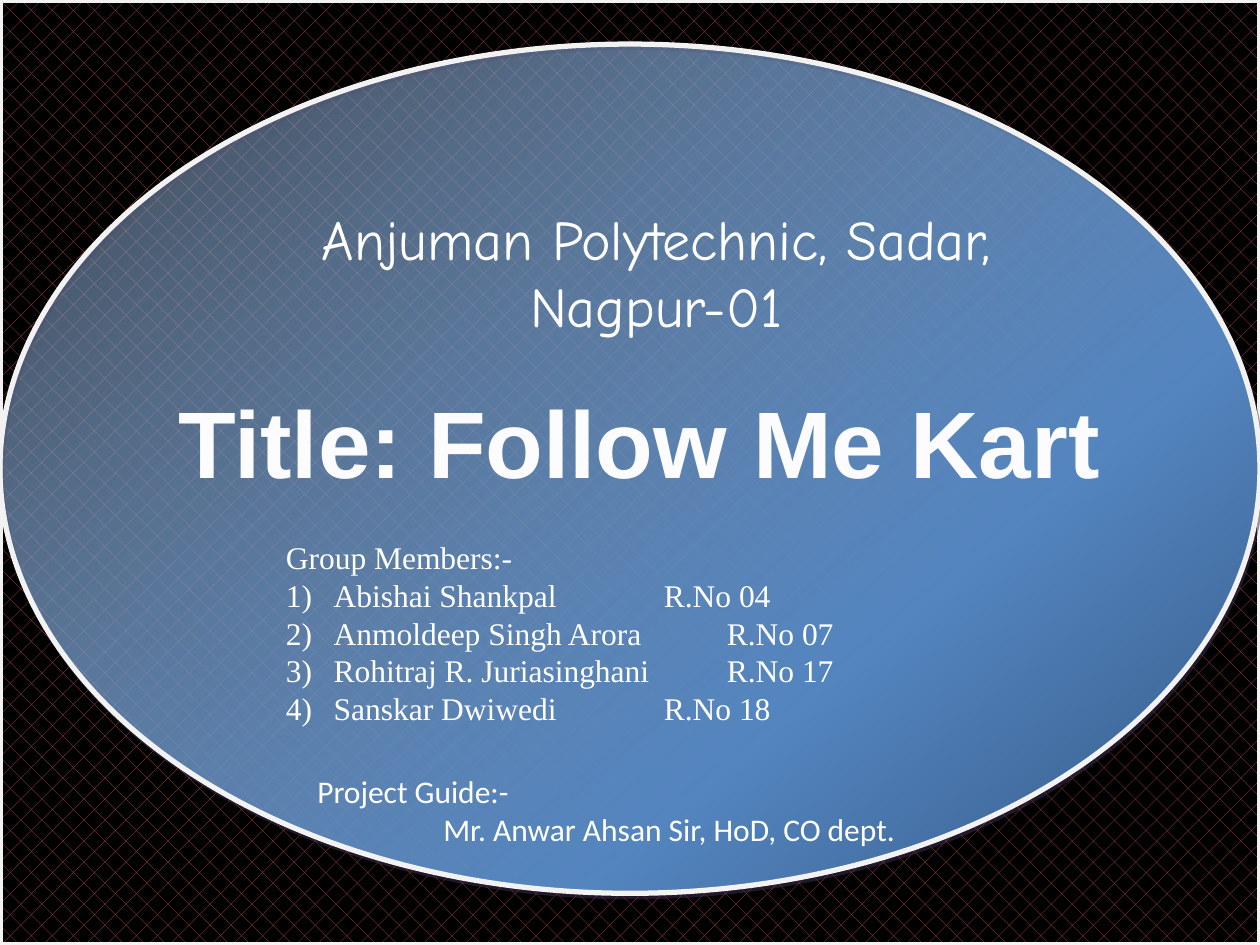
from lxml import etree
from pptx import Presentation
from pptx.dml.color import RGBColor
from pptx.enum.dml import MSO_PATTERN
from pptx.enum.shapes import MSO_SHAPE
from pptx.enum.text import MSO_ANCHOR, PP_ALIGN
from pptx.oxml.ns import qn
from pptx.util import Pt

PX = 9144  # 100 px to the inch
WIDTH, HEIGHT = 1000, 750
TITLE_ONLY = 5
RECTANGLE, OVAL = MSO_SHAPE.RECTANGLE, MSO_SHAPE.OVAL
DIAGONAL_BRICK = MSO_PATTERN.DIAGONAL_BRICK
CENTER, LEFT = PP_ALIGN.CENTER, PP_ALIGN.LEFT
TOP = MSO_ANCHOR.TOP
WHITE = "FFFFFF"

MEMBERS = [
    ("Abishai Shankpal", "04"),
    ("Anmoldeep Singh Arora", "07"),
    ("Rohitraj R. Juriasinghani", "17"),
    ("Sanskar Dwiwedi", "18"),
]


def color(value):
    return RGBColor.from_string(value)


def emu(box):
    return [length * PX for length in box]


def add_xml(parent, tag, **attributes):
    """Append a drawing element with the given attributes."""
    values = {name: str(value) for name, value in attributes.items()}
    return etree.SubElement(parent, qn(tag), values)


def add_color(parent, value, opacity):
    element = add_xml(parent, "a:srgbClr", val=value)
    if opacity < 100:
        add_xml(element, "a:alpha", val=opacity * 1000)


def add_panel(group, kind, box, shadow_color):
    """Add an outlined shape with a short hard shadow."""
    shape = group.shapes.add_shape(kind, *emu(box))
    shape.line.color.rgb = color("F2F2F2")
    shape.line.width = Pt(3)
    shape.shadow.inherit = False
    effects = shape.element.spPr.find(qn("a:effectLst"))
    shadow = add_xml(effects, "a:outerShdw", dist=Pt(2.2), dir=63 * 60000,
                     algn="ctr", rotWithShape=0)
    add_color(shadow, shadow_color, 50)
    return shape


def fill_gradient(shape, stops, angle):
    shape.fill.gradient()
    gradient = shape.element.spPr.find(qn("a:gradFill"))
    for child in list(gradient):
        gradient.remove(child)
    stop_list = add_xml(gradient, "a:gsLst")
    for position, value, opacity in stops:
        stop = add_xml(stop_list, "a:gs", pos=position * 1000)
        add_color(stop, value, opacity)
    add_xml(gradient, "a:lin", ang=angle * 60000, scaled=0)


def add_backdrop(slide, box):
    """Patterned panel with a translucent oval across its full width."""
    left, top, width, height = box
    group = slide.shapes.add_group_shape()
    panel = add_panel(group, RECTANGLE, box, "632523")
    panel.fill.patterned()
    panel.fill.pattern = DIAGONAL_BRICK
    panel.fill.fore_color.rgb = color("C0504D")
    panel.fill.back_color.rgb = color("000000")
    oval = add_panel(group, OVAL, (left, top + 35, width, height - 76), "403152")
    stops = [(0, "315683", 100), (30, "5485BF", 100), (92, "95B3D7", 33)]
    fill_gradient(oval, stops, 230)


def format_text(text_frame, font, size, value=WHITE, bold=False, align=LEFT):
    for paragraph in text_frame.paragraphs:
        paragraph.alignment = align
        for run in paragraph.runs:
            run.font.name = font
            run.font.size = Pt(size)
            run.font.bold = bold
            run.font.color.rgb = color(value)


def add_text(slide, box, lines):
    text_frame = slide.shapes.add_textbox(*emu(box)).text_frame
    text_frame.word_wrap = True
    text_frame.text = "\n".join(lines)
    return text_frame


def add_members(slide, box):
    names = [f"{name}\t\tR.No {number}" for name, number in MEMBERS]
    text_frame = add_text(slide, box, ["Group Members:-", *names])
    for paragraph in text_frame.paragraphs[1:]:
        properties = paragraph._p.get_or_add_pPr()
        properties.set("marL", str(38 * PX))
        properties.set("indent", str(-38 * PX))
        add_xml(properties, "a:buAutoNum", type="arabicParenR")
    format_text(text_frame, "Times New Roman", 18)


def add_guide(slide, box):
    lines = ["Project Guide:-", "Mr. Anwar Ahsan Sir, HoD, CO dept."]
    text_frame = add_text(slide, box, lines)
    properties = text_frame.paragraphs[1]._p.get_or_add_pPr()
    properties.set("marL", str(100 * PX))
    format_text(text_frame, "Calibri", 18)


def add_institute(slide, box):
    text_frame = add_text(slide, box, ["Anjuman Polytechnic, Sadar, Nagpur-01"])
    format_text(text_frame, "Comic Neue", 32, align=CENTER)


def place_title(slide, box):
    title = slide.shapes.title
    title.left, title.top, title.width, title.height = emu(box)
    # Bring the title in front of the backdrop
    slide.shapes.element.append(title.element)
    text_frame = title.text_frame
    text_frame.text = "Title: Follow Me Kart"
    text_frame.word_wrap = False
    text_frame.vertical_anchor = TOP
    format_text(text_frame, "Arial", 54, "FCFCFF", True, CENTER)


def main():
    presentation = Presentation()
    presentation.slide_width, presentation.slide_height = emu((WIDTH, HEIGHT))
    slide = presentation.slides.add_slide(presentation.slide_layouts[TITLE_ONLY])
    add_backdrop(slide, (0, 0, WIDTH, HEIGHT))
    add_members(slide, (217, 422, 542, 162))
    add_guide(slide, (242, 608, 500, 71))
    add_institute(slide, (192, 157, 658, 118))
    place_title(slide, (50, 300, 915, 101))
    presentation.save("out.pptx")


if __name__ == "__main__":
    main()
